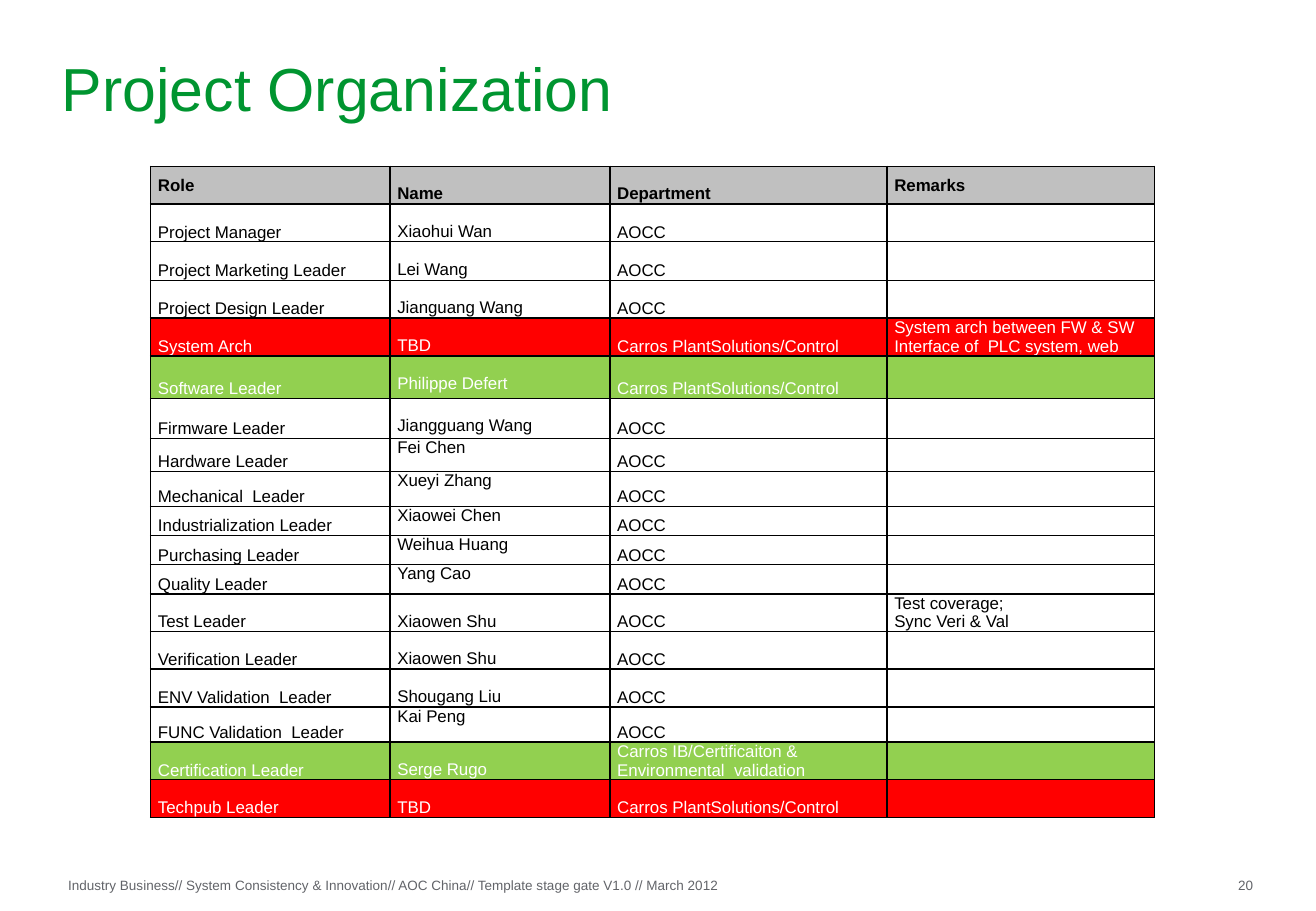
"""Build the Project Organization slide with its table of roles."""
from lxml.etree import SubElement
from pptx import Presentation
from pptx.dml.color import RGBColor
from pptx.enum.text import MSO_ANCHOR as Anchor, PP_ALIGN as Align
from pptx.oxml import parse_xml
from pptx.oxml.ns import nsdecls, qn
from pptx.util import Inches, Pt

WHITE, BLACK, GREY, RED, GREEN = "FFFFFF", "000000", "C0C0C0", "FF0000", "92D050"


def rgb(color):
    return RGBColor.from_string(color)


def add_run(paragraph, text, size, color, bold=False):
    run = paragraph.add_run()
    run.text = text
    run.font.name = "Arial"
    run.font.size = Pt(size)
    run.font.bold = bold
    run.font.color.rgb = rgb(color)


prs = Presentation()
prs.slide_width, prs.slide_height = Inches(10.83), Inches(7.5)
slide = prs.slides.add_slide(prs.slide_layouts[5])

title = slide.shapes.title
title.left, title.top = Inches(0.51), Inches(0.36)
title.width, title.height = Inches(9.81), Inches(0.71)
heading = title.text_frame
heading.margin_left = heading.margin_right = 0
heading.margin_top = heading.margin_bottom = Inches(0.01)
heading.vertical_anchor = Anchor.MIDDLE
heading.paragraphs[0].alignment = Align.LEFT
add_run(heading.paragraphs[0], "Project Organization", 36, "009530")

members = [
    (0.31, GREY, "Role", "Name", "Department", "Remarks"),
    (0.31, WHITE, "Project Manager", "Xiaohui Wan", "AOCC", ""),
    (0.32, WHITE, "Project Marketing Leader", "Lei Wang", "AOCC", ""),
    (0.31, WHITE, "Project Design Leader", "Jianguang Wang", "AOCC", ""),
    (0.31, RED, "System Arch", "TBD", "Carros PlantSolutions/Control",
     "System arch between FW & SW\nInterface of  PLC system, web"),
    (0.35, GREEN, "Software Leader", "Philippe Defert", "Carros PlantSolutions/Control", ""),
    (0.33, WHITE, "Firmware Leader", "Jiangguang Wang", "AOCC", ""),
    (0.27, WHITE, "Hardware Leader", "Fei Chen", "AOCC", ""),
    (0.29, WHITE, "Mechanical  Leader", "Xueyi Zhang", "AOCC", ""),
    (0.24, WHITE, "Industrialization Leader", "Xiaowei Chen", "AOCC", ""),
    (0.24, WHITE, "Purchasing Leader", "Weihua Huang", "AOCC", ""),
    (0.24, WHITE, "Quality Leader", "Yang Cao", "AOCC", ""),
    (0.31, WHITE, "Test Leader", "Xiaowen Shu", "AOCC", "Test coverage;\nSync Veri & Val"),
    (0.31, WHITE, "Verification Leader", "Xiaowen Shu", "AOCC", ""),
    (0.31, WHITE, "ENV Validation  Leader", "Shougang Liu", "AOCC", ""),
    (0.29, WHITE, "FUNC Validation  Leader", "Kai Peng", "AOCC", ""),
    (0.31, GREEN, "Certification Leader", "Serge Rugo",
     "Carros IB/Certificaiton & Environmental  validation", ""),
    (0.31, RED, "Techpub Leader", "TBD", "Carros PlantSolutions/Control", ""),
]
column_widths = [1.97, 1.81, 2.28, 2.2]

organization = slide.shapes.add_table(
    len(members), len(column_widths), Inches(1.24), Inches(1.37),
    Inches(sum(column_widths)), Inches(sum(member[0] for member in members))).table
organization.first_row = organization.horz_banding = False
for column, width in zip(organization.columns, column_widths):
    column.width = Inches(width)

for row, (height, fill, *entries) in enumerate(members):
    organization.rows[row].height = Inches(height)
    is_header = row == 0
    ink = WHITE if fill in (RED, GREEN) else BLACK
    for col, entry in enumerate(entries):
        cell = organization.cell(row, col)
        cell.fill.solid()
        cell.fill.fore_color.rgb = rgb(fill)
        cell.margin_left = cell.margin_right = Inches(0.06)
        cell.margin_top = cell.margin_bottom = 0
        if col == 1 or (is_header and col == 2):
            cell.vertical_anchor = Anchor.TOP
            cell.margin_top = Inches(0.15 if height > 0.3 else 0)
        else:
            cell.vertical_anchor = Anchor.MIDDLE if is_header else Anchor.BOTTOM

        for number, line in enumerate(entry.split("\n")):
            frame = cell.text_frame
            paragraph = frame.add_paragraph() if number else frame.paragraphs[0]
            if line:
                add_run(paragraph, line, 10, ink, is_header)
            else:
                SubElement(paragraph._p, qn("a:endParaRPr"), sz="1000")

        for position, side in enumerate(("lnL", "lnR", "lnT", "lnB")):
            cell._tc.get_or_add_tcPr().insert(position, parse_xml(
                f'<a:{side} {nsdecls("a")} w="12700"><a:solidFill>'
                f'<a:srgbClr val="{BLACK}"/></a:solidFill></a:{side}>'))

footers = [
    (0.56, 5.42, "Industry Business// System Consistency & Innovation// AOC China// "
                 "Template stage gate V1.0 // March 2012"),
    (10.19, 0.34, "20"),
]
for left, width, text in footers:
    footer = slide.shapes.add_textbox(
        Inches(left), Inches(7.22), Inches(width), Inches(0.13)).text_frame
    footer.margin_left = footer.margin_right = 0
    footer.margin_top = footer.margin_bottom = 0
    footer.word_wrap = True
    add_run(footer.paragraphs[0], text, 8, "626469")

prs.save("out.pptx")
